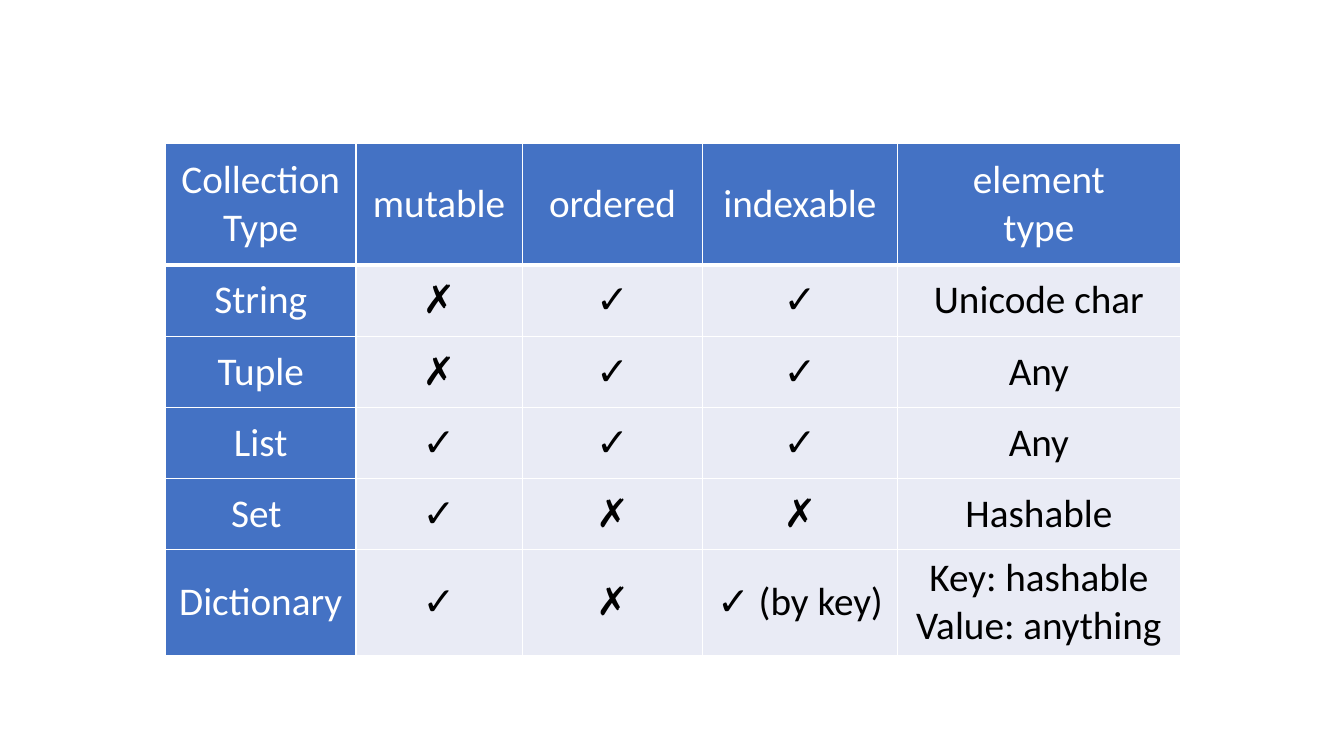
"""Build a slide that compares the Python collection types in a table."""
from dataclasses import dataclass

from lxml.etree import SubElement
from pptx import Presentation
from pptx.dml.color import RGBColor
from pptx.enum.text import MSO_ANCHOR, PP_ALIGN
from pptx.oxml.ns import qn
from pptx.slide import Slide
from pptx.table import _Cell
from pptx.util import Cm, Pt


@dataclass(frozen=True)
class Theme:
    """Colours, font, type size and rule widths of the slide."""
    head: str = "4472C4"
    body: str = "E9EBF5"
    light: str = "FFFFFF"
    dark: str = "000000"
    font: str = "Calibri"
    size: int = 28
    rule: int = 1
    head_rule: int = 3


@dataclass(frozen=True)
class Collection:
    """One row of the comparison table."""
    name: str
    mutable: str
    ordered: str
    indexable: str
    element: str

    def cells(self) -> tuple[str, ...]:
        """Return the texts from left to right."""
        return self.name, self.mutable, self.ordered, self.indexable, self.element


THEME = Theme()
YES, NO = "✓", "✗"
ROWS = (
    Collection("Collection\nType", "mutable", "ordered", "indexable", "element\ntype"),
    Collection("String", NO, YES, YES, "Unicode char"),
    Collection("Tuple", NO, YES, YES, "Any"),
    Collection("List", YES, YES, YES, "Any"),
    Collection("Set ", YES, NO, NO, "Hashable"),
    Collection("Dictionary", YES, NO, f"{YES} (by key)", "Key: hashable\nValue: anything"),
)
COL_WIDTHS = (4.8, 4.19, 4.55, 4.9, 7.14)
HEAD_HEIGHT, ROW_HEIGHT, TABLE_HEIGHT = 3.07, 1.79, 12.85


def set_borders(cell: _Cell, top: int, bottom: int) -> None:
    """Draw the four rules of a cell, with widths in points."""
    tc_pr = cell._tc.get_or_add_tcPr()
    widths = {"L": THEME.rule, "R": THEME.rule, "T": top, "B": bottom}
    for side, width in widths.items():
        ln = SubElement(tc_pr, qn(f"a:ln{side}"), w=str(Pt(width)))
        SubElement(SubElement(ln, qn("a:solidFill")), qn("a:srgbClr"), val=THEME.light)


def fill_cell(cell: _Cell, text: str, is_head: bool) -> None:
    """Write the text of a cell and colour it."""
    cell.fill.solid()
    cell.fill.fore_color.rgb = RGBColor.from_string(THEME.head if is_head else THEME.body)
    cell.vertical_anchor = MSO_ANCHOR.MIDDLE
    cell.text = text
    font_format = {"name": THEME.font, "size": Pt(THEME.size), "bold": False}
    for p in cell.text_frame.paragraphs:
        p.alignment = PP_ALIGN.CENTER
        for r in p.runs:
            for name, value in font_format.items():
                setattr(r.font, name, value)
            r.font.color.rgb = RGBColor.from_string(THEME.light if is_head else THEME.dark)


def add_comparison(slide: Slide) -> None:
    """Add the table of collection types."""
    frame = slide.shapes.add_table(len(ROWS), len(COL_WIDTHS), Cm(4.17), Cm(3.61),
                                   Cm(sum(COL_WIDTHS)), Cm(TABLE_HEIGHT))
    table = frame.table
    table.first_col = True
    table.horz_banding = False
    for column, width in zip(table.columns, COL_WIDTHS):
        column.width = Cm(width)
    for i, collection in enumerate(ROWS):
        table.rows[i].height = Cm(ROW_HEIGHT if i else HEAD_HEIGHT)
        top = THEME.head_rule if i == 1 else THEME.rule
        bottom = THEME.rule if i else THEME.head_rule
        for j, text in enumerate(collection.cells()):
            cell = table.cell(i, j)
            set_borders(cell, top, bottom)
            fill_cell(cell, text, i == 0 or j == 0)
    frame.height = Cm(TABLE_HEIGHT)


def main() -> None:
    """Create the presentation and save it."""
    prs = Presentation()
    prs.slide_width, prs.slide_height = Cm(33.87), Cm(19.05)
    add_comparison(prs.slides.add_slide(prs.slide_layouts[6]))
    prs.save("out.pptx")


if __name__ == "__main__":
    main()
